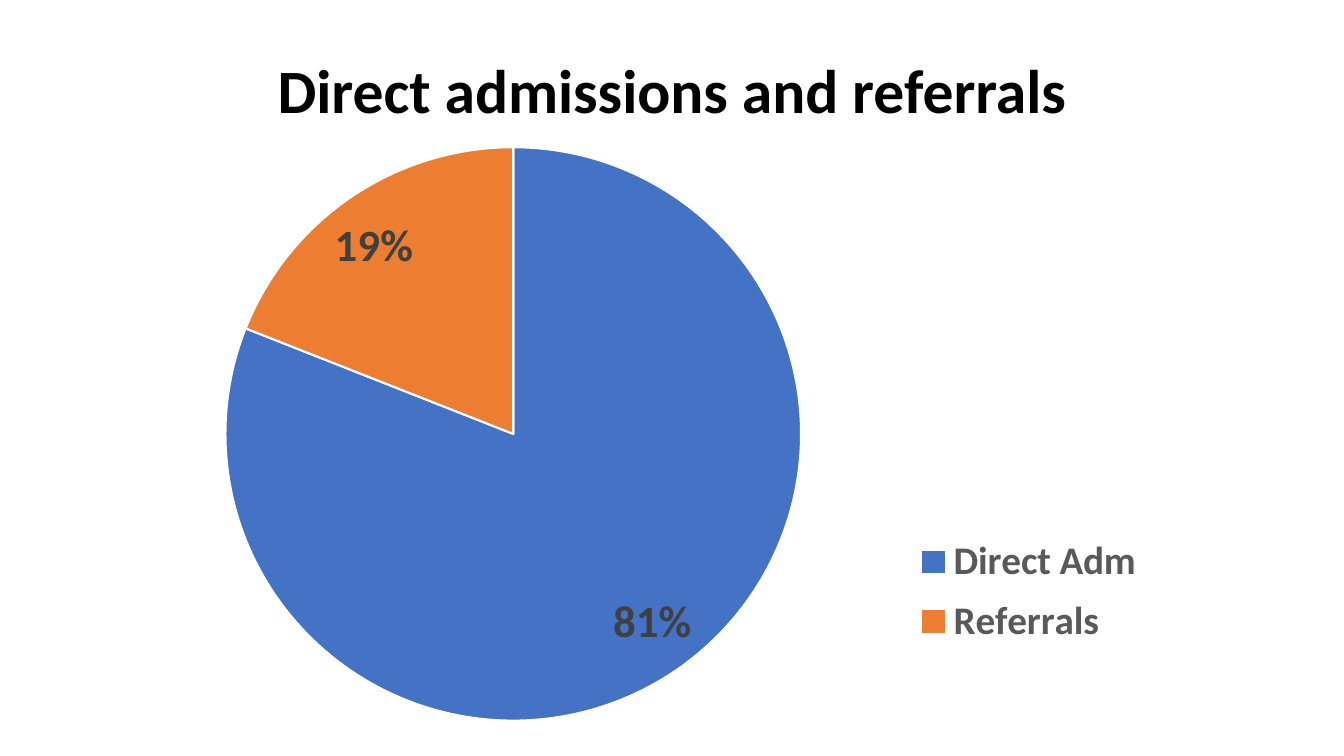
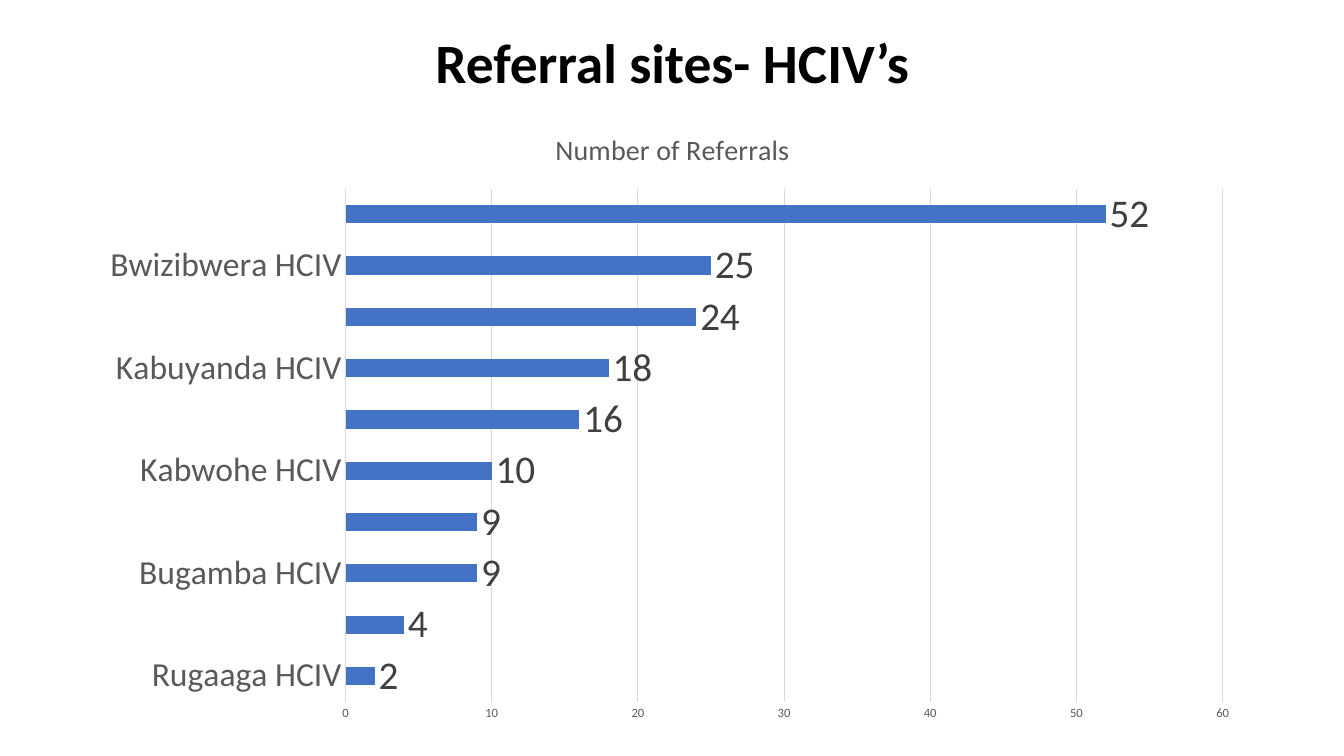
import pptx
import pptx.chart.data
import pptx.dml.color
import pptx.enum.chart
import pptx.enum.text
import pptx.oxml
import pptx.oxml.ns
import pptx.util
from pptx.util import Inches

# Shared style
RGBColor = pptx.dml.color.RGBColor
BLACK = RGBColor(0x00, 0x00, 0x00)
WHITE = RGBColor(0xFF, 0xFF, 0xFF)
BLUE = RGBColor(0x44, 0x72, 0xC4)
ORANGE = RGBColor(0xED, 0x7D, 0x31)
DARK_GRAY = RGBColor(0x40, 0x40, 0x40)
GRAY = RGBColor(0x59, 0x59, 0x59)
LIGHT_GRAY = RGBColor(0xD9, 0xD9, 0xD9)
FONT = "Calibri"

# Content; every second bar has no label
ADMISSIONS = [("Direct Adm", 81, BLUE), ("Referrals", 19, ORANGE)]
REFERRAL_SITES = [
    ("Rugaaga HCIV", 2),
    ("", 4),
    ("Bugamba HCIV", 9),
    ("", 9),
    ("Kabwohe HCIV", 10),
    ("", 16),
    ("Kabuyanda HCIV", 18),
    ("", 24),
    ("Bwizibwera HCIV", 25),
    ("", 52),
]


def style_font(font, size, color, bold=False):
    font.name = FONT
    font.size = pptx.util.Pt(size)
    font.bold = bold
    font.color.rgb = color


def add_titled_slide(presentation, text, top, height, size):
    slide = presentation.slides.add_slide(presentation.slide_layouts[5])
    title = slide.shapes.title
    title.left, title.top = Inches(0.92), Inches(top)
    title.width, title.height = Inches(11.5), Inches(height)
    frame = title.text_frame
    frame.text = text
    frame.word_wrap = True
    frame.auto_size = pptx.enum.text.MSO_AUTO_SIZE.NONE
    frame.vertical_anchor = pptx.enum.text.MSO_ANCHOR.MIDDLE
    paragraph = frame.paragraphs[0]
    paragraph.alignment = pptx.enum.text.PP_ALIGN.CENTER
    paragraph.line_spacing = 0.9
    style_font(paragraph.font, size, BLACK, bold=True)
    return slide


def add_chart(slide, kind, box, rows):
    data = pptx.chart.data.CategoryChartData()
    data.categories = [row[0] for row in rows]
    data.add_series("Series 1", [row[1] for row in rows])
    chart = slide.shapes.add_chart(kind, *map(Inches, box), data).chart
    style_font(chart.font, 10, BLACK)
    chart.has_legend = False
    chart.has_title = False
    return chart


def add_labels(plot, size, position, bold=False):
    plot.has_data_labels = True
    labels = plot.data_labels
    style_font(labels.font, size, DARK_GRAY, bold)
    labels.position = position
    return labels


def manual_layout(x, y, width, height, inner=False):
    """Return a chart layout in fractions of the chart area."""
    settings = [("layoutTarget", "inner")] if inner else []
    settings += [("xMode", "edge"), ("yMode", "edge"),
                 ("x", x), ("y", y), ("w", width), ("h", height)]
    parts = "".join(f'<c:{tag} val="{value}"/>' for tag, value in settings)
    return pptx.oxml.parse_xml(
        f'<c:layout {pptx.oxml.ns.nsdecls("c")}>'
        f"<c:manualLayout>{parts}</c:manualLayout></c:layout>")


def build_admissions(presentation):
    slide = add_titled_slide(
        presentation, "Direct admissions and referrals", 0.4, 1.05, 44)
    chart = add_chart(slide, pptx.enum.chart.XL_CHART_TYPE.PIE,
                      (0.71, 1.45, 12.17, 5.71), ADMISSIONS)
    plot = chart.plots[0]

    # Slices and percentages
    for index, (_, _, color) in enumerate(ADMISSIONS):
        point = plot.series[0].points[index]
        point.format.fill.solid()
        point.format.fill.fore_color.rgb = color
        point.format.line.color.rgb = WHITE
        point.format.line.width = pptx.util.Pt(1.5)
    labels = add_labels(
        plot, 32, pptx.enum.chart.XL_LABEL_POSITION.BEST_FIT, bold=True)
    labels.show_percentage = True
    labels.show_value = False
    labels.number_format = "0%"
    labels.number_format_is_linked = False

    # Legend at lower right
    chart.has_legend = True
    legend = chart.legend
    legend.position = pptx.enum.chart.XL_LEGEND_POSITION.BOTTOM
    legend.include_in_layout = False
    style_font(legend.font, 28, GRAY, bold=True)
    legend_element = legend._element
    plot_area = plot._element.getparent()
    for parent in (legend_element, plot_area):
        for layout in parent.findall(pptx.oxml.ns.qn("c:layout")):
            parent.remove(layout)
    legend_element.insert(1, manual_layout(0.68, 0.66, 0.2, 0.23))
    plot_area.insert(0, manual_layout(0.12, 0, 0.48, 1, inner=True))


def build_referral_sites(presentation):
    slide = add_titled_slide(
        presentation, "Referral sites- HCIV’s", 0.4, 0.51, 39.6)
    chart = add_chart(slide, pptx.enum.chart.XL_CHART_TYPE.BAR_CLUSTERED,
                      (0.92, 1.06, 11.5, 6.21), REFERRAL_SITES)

    # Chart title
    chart.has_title = True
    chart_title = chart.chart_title
    chart_title.include_in_layout = False
    chart_title.text_frame.text = "Number of Referrals"
    style_font(chart_title.text_frame.paragraphs[0].font, 20, GRAY)

    # Bars and values
    plot = chart.plots[0]
    plot.gap_width = 182
    plot.vary_by_categories = False
    fill = plot.series[0].format.fill
    fill.solid()
    fill.fore_color.rgb = BLUE
    labels = add_labels(
        plot, 28, pptx.enum.chart.XL_LABEL_POSITION.OUTSIDE_END)
    labels.show_value = True

    # Axes
    category_axis, value_axis = chart.category_axis, chart.value_axis
    for axis, size in ((category_axis, 24), (value_axis, 9)):
        axis.major_tick_mark = pptx.enum.chart.XL_TICK_MARK.NONE
        axis.minor_tick_mark = pptx.enum.chart.XL_TICK_MARK.NONE
        style_font(axis.tick_labels.font, size, GRAY)
    category_axis.has_major_gridlines = False
    value_axis.has_major_gridlines = True
    value_axis.minimum_scale = 0
    value_axis.maximum_scale = 60
    value_axis.major_unit = 10
    value_axis.format.line.fill.background()
    for line in (category_axis.format.line,
                 value_axis.major_gridlines.format.line):
        line.color.rgb = LIGHT_GRAY
        line.width = pptx.util.Pt(0.75)


def main():
    presentation = pptx.Presentation()
    presentation.slide_width = Inches(13.33)
    presentation.slide_height = Inches(7.5)
    build_admissions(presentation)
    build_referral_sites(presentation)
    presentation.save("out.pptx")


if __name__ == "__main__":
    main()
